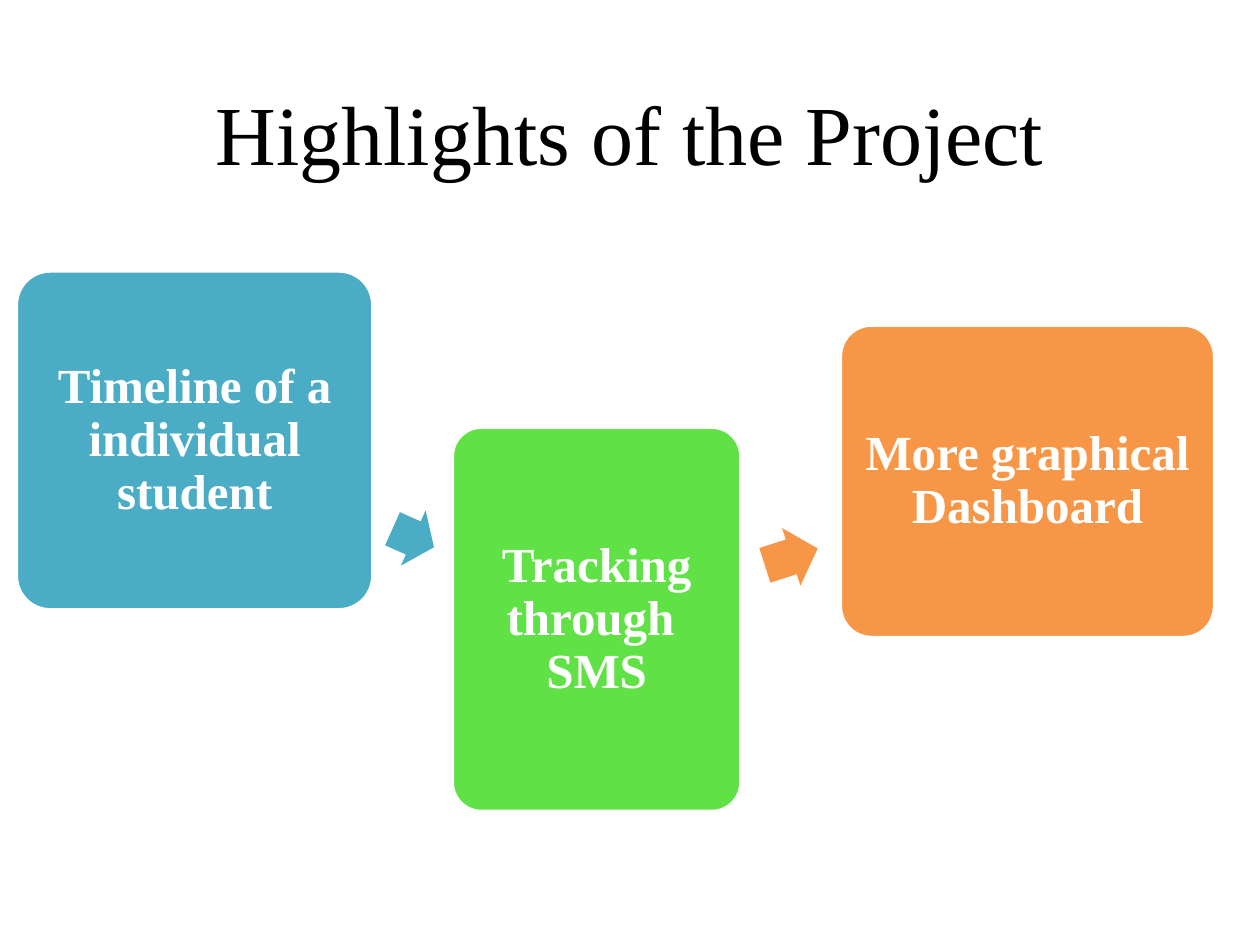
from pptx import Presentation
from pptx.dml.color import RGBColor
from pptx.enum.shapes import MSO_SHAPE
from pptx.enum.text import MSO_ANCHOR, PP_ALIGN
from pptx.util import Inches, Pt

ROUNDED = MSO_SHAPE.ROUNDED_RECTANGLE
ARROW = MSO_SHAPE.RIGHT_ARROW
MIDDLE = MSO_ANCHOR.MIDDLE
CENTER = PP_ALIGN.CENTER

BLACK = RGBColor(0x00, 0x00, 0x00)
WHITE = RGBColor(0xFF, 0xFF, 0xFF)
TEAL = RGBColor(0x4B, 0xAC, 0xC6)
GREEN = RGBColor(0x60, 0xE1, 0x46)
ORANGE = RGBColor(0xF7, 0x96, 0x46)

FONT = "Times New Roman"
HIGHLIGHTS = [
    ("Timeline of a individual student", TEAL, (0.13, 2.15, 2.83, 2.69)),
    ("Tracking through  SMS", GREEN, (3.59, 3.39, 2.29, 3.05)),
    ("More graphical Dashboard", ORANGE, (6.67, 2.58, 2.97, 2.48)),
]
STEPS = [
    (TEAL, (3.1, 4.03, 0.36, 0.48), 24.1),
    (ORANGE, (6.06, 4.18, 0.44, 0.48), 342.3),
]


def write_text(frame, text, *, size, color, bold=False, spacing=1.0, inset=0.1):
    """Write one centred paragraph into a text frame."""
    frame.word_wrap = True
    frame.vertical_anchor = MIDDLE
    frame.margin_left = frame.margin_right = Inches(inset)
    frame.margin_top = frame.margin_bottom = Inches(inset)
    paragraph = frame.paragraphs[0]
    paragraph.alignment = CENTER
    paragraph.line_spacing = spacing
    run = paragraph.add_run()
    run.text = text
    run.font.name = FONT
    run.font.size = Pt(size)
    run.font.bold = bold
    run.font.color.rgb = color


def add_block(slide, preset, bounds, color, adjustments):
    """Add a flat filled preset shape without an outline."""
    block = slide.shapes.add_shape(preset, *map(Inches, bounds))
    block.shadow.inherit = False
    block.fill.solid()
    block.fill.fore_color.rgb = color
    block.line.fill.background()
    for index, value in enumerate(adjustments):
        block.adjustments[index] = value
    return block


def add_title(slide, text):
    """Add the slide heading."""
    heading = slide.shapes.add_textbox(*map(Inches, (0.5, 0.42, 9, 1.25)))
    write_text(heading.text_frame, text, size=48, color=BLACK)


def add_highlight(slide, text, color, bounds):
    """Add a rounded card that names one highlight."""
    card = add_block(slide, ROUNDED, bounds, color, [0.1])
    card.line.color.rgb = WHITE
    card.line.width = Pt(2)
    write_text(card.text_frame, text, size=28, color=WHITE, bold=True,
               spacing=0.9, inset=0.05)


def add_step(slide, color, bounds, angle):
    """Add a turned arrow that leads to the next card."""
    step = add_block(slide, ARROW, bounds, color, [0.6, 0.5])
    step.rotation = angle


def main():
    """Build and save the slide."""
    presentation = Presentation()
    presentation.slide_width = Inches(10)
    presentation.slide_height = Inches(7.5)
    slide = presentation.slides.add_slide(presentation.slide_layouts[6])
    add_title(slide, "Highlights of the Project")
    for highlight in HIGHLIGHTS:
        add_highlight(slide, *highlight)
    for step in STEPS:
        add_step(slide, *step)
    presentation.save("out.pptx")


if __name__ == "__main__":
    main()
